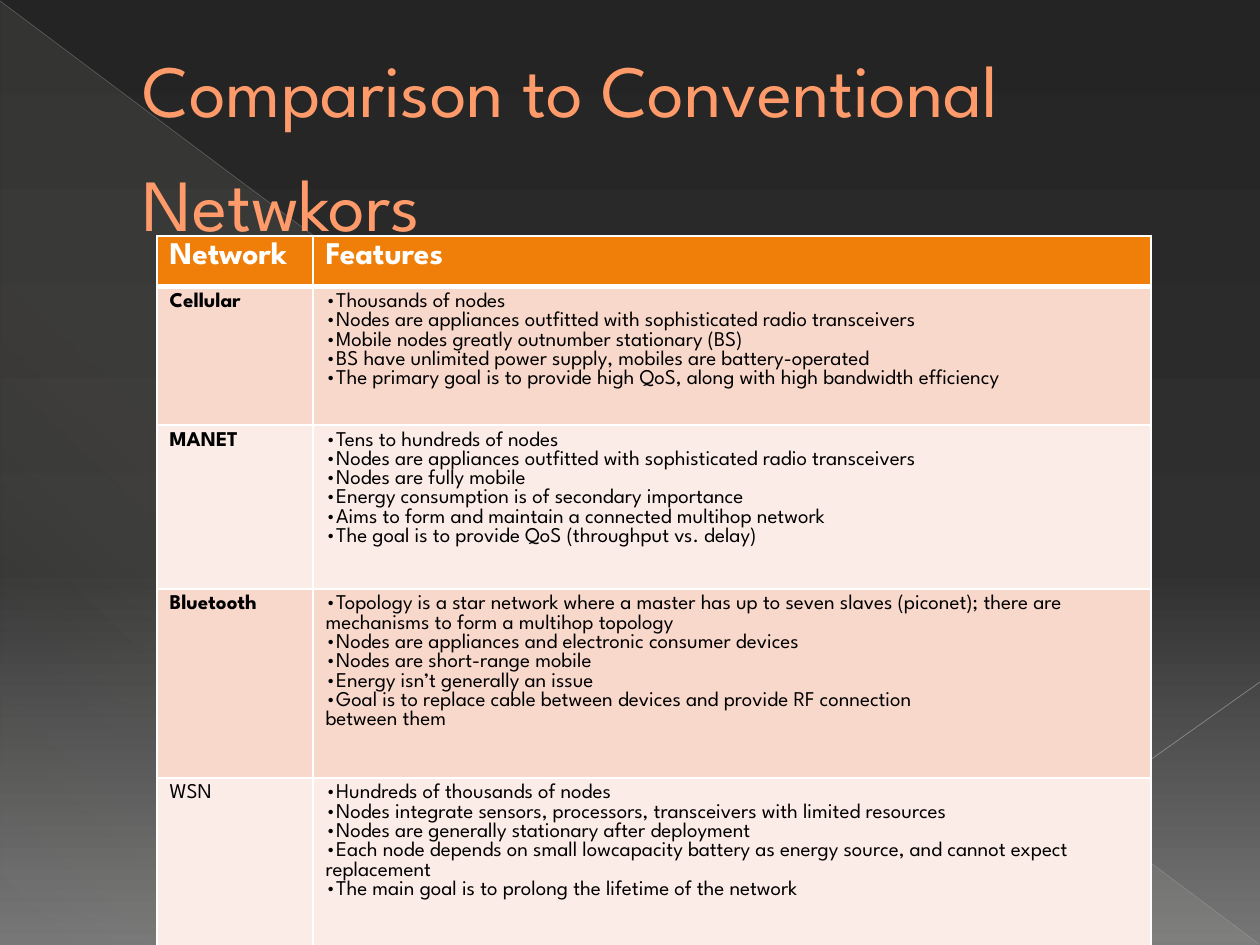
from lxml import etree
from pptx import Presentation
from pptx.dml.color import RGBColor
from pptx.enum.shapes import MSO_CONNECTOR, MSO_SHAPE
from pptx.enum.text import MSO_ANCHOR
from pptx.oxml.ns import qn
from pptx.util import Pt

LINE = MSO_CONNECTOR.STRAIGHT
TRIANGLE = MSO_SHAPE.RIGHT_TRIANGLE
MIDDLE = MSO_ANCHOR.MIDDLE

FONT = "League Spartan"
WHITE = RGBColor(0xFF, 0xFF, 0xFF)
BLACK = RGBColor(0x00, 0x00, 0x00)
CORAL = RGBColor(0xFF, 0x9B, 0x6A)
ORANGE = RGBColor(0xF0, 0x7F, 0x09)
BANDS = [RGBColor(0xF9, 0xD8, 0xCC), RGBColor(0xFC, 0xEC, 0xE7)]
NIGHT = RGBColor(0x24, 0x24, 0x24)
CHARCOAL = RGBColor(0x30, 0x30, 0x30)
GRAY = RGBColor(0x76, 0x76, 0x76)
SAND = RGBColor(0xE3, 0xDE, 0xD1)
SILVER = RGBColor(0xB6, 0xB6, 0xB6)
PALE = RGBColor(0xBF, 0xBF, 0xBF)

COLS = [156, 838]
ROWS = [48, 132, 156, 180, 194]
# Name, whether it is bold, features (a line break continues without a bullet)
NETWORKS = [
    ("Cellular", True, [
        "Thousands of nodes",
        "Nodes are appliances outfitted with sophisticated radio transceivers",
        "Mobile nodes greatly outnumber stationary (BS)",
        "BS have unlimited power supply, mobiles are battery-operated",
        "The primary goal is to provide high QoS, along with high bandwidth efficiency"]),
    ("MANET", True, [
        "Tens to hundreds of nodes",
        "Nodes are appliances outfitted with sophisticated radio transceivers",
        "Nodes are fully mobile",
        "Energy consumption is of secondary importance",
        "Aims to form and maintain a connected multihop network",
        "The goal is to provide QoS (throughput vs. delay)"]),
    ("Bluetooth", True, [
        "Topology is a star network where a master has up to seven slaves (piconet); "
        "there are mechanisms to form a multihop topology",
        "Nodes are appliances and electronic consumer devices",
        "Nodes are short-range mobile",
        "Energy isn’t generally an issue",
        "Goal is to replace cable between devices and provide RF connection\nbetween them"]),
    ("WSN", False, [
        "Hundreds of thousands of nodes",
        "Nodes integrate sensors, processors, transceivers with limited resources",
        "Nodes are generally stationary after deployment",
        "Each node depends on small lowcapacity battery as energy source, "
        "and cannot expect replacement",
        "The main goal is to prolong the lifetime of the network"]),
]


def px(n):
    return round(n * 914400 / 126)


def add_color(parent, color, alpha=100):
    clr = etree.SubElement(parent, qn("a:srgbClr"), val=str(color))
    if alpha < 100:
        etree.SubElement(clr, qn("a:alpha"), val=str(alpha * 1000))


def set_gradient(fill, root, stops, angle):
    """Swap the solid fill under root for a gradient of (position, color, alpha)."""
    fill.solid()
    solid = root.find(".//" + qn("a:solidFill"))
    grad = etree.Element(qn("a:gradFill"), rotWithShape="1")
    gs_list = etree.SubElement(grad, qn("a:gsLst"))
    for pos, color, alpha in stops:
        add_color(etree.SubElement(gs_list, qn("a:gs"), pos=str(pos * 1000)), color, alpha)
    etree.SubElement(grad, qn("a:lin"), ang=str(angle * 60000), scaled="0")
    solid.getparent().replace(solid, grad)


def add_line(s, start, end, color, width, alpha):
    line = s.shapes.add_connector(LINE, *map(px, start + end))
    line.line.width = Pt(width)
    line.line.color.rgb = color
    spPr = line._element.spPr
    clr = spPr.find(".//" + qn("a:srgbClr"))
    etree.SubElement(clr, qn("a:alpha"), val=str(alpha * 1000))
    etree.SubElement(spPr, qn("a:effectLst"))


def write(tf, text, size=12, color=BLACK, bold=False, spacing=None):
    tf.word_wrap = True
    for i, words in enumerate(text.split("\n")):
        p = tf.paragraphs[0] if i == 0 else tf.add_paragraph()
        if spacing:
            p.line_spacing = spacing
        r = p.add_run()
        r.text = words
        r.font.name, r.font.size, r.font.bold = FONT, Pt(size), bold
        r.font.color.rgb = color


def set_borders(cell, **widths):
    tcPr = cell._tc.get_or_add_tcPr()
    for i, side in enumerate("LRTB"):
        ln = etree.Element(qn("a:ln" + side), w=str(Pt(widths.get(side, 1))))
        add_color(etree.SubElement(ln, qn("a:solidFill")), WHITE)
        tcPr.insert(i, ln)


def fill_cell(cell, text, fill, borders, **fmt):
    cell.fill.solid()
    cell.fill.fore_color.rgb = fill
    set_borders(cell, **borders)
    write(cell.text_frame, text, **fmt)


def add_backdrop(s):
    set_gradient(s.background.fill, s._element,
                 [(0, NIGHT, 100), (60, CHARCOAL, 100), (100, GRAY, 100)], 90)
    sp = s.shapes.add_shape(TRIANGLE, px(1), px(2), px(1258), px(942))
    sp.shadow.inherit = False
    sp.line.fill.background()
    set_gradient(sp.fill, sp._element.spPr,
                 [(0, SAND, 10), (70, SAND, 8), (100, SAND, 1)], 133)
    add_line(s, (0, 1), (1259, 944), SILVER, 0.39, 35)
    add_line(s, (1260, 682), (891, 944), PALE, 0.47, 45)


def add_title(s, text):
    tf = s.shapes.add_textbox(px(63), px(36), px(1134), px(193)).text_frame
    tf.margin_left = px(80)
    tf.vertical_anchor = MIDDLE
    write(tf, text, size=42, color=CORAL, spacing=1.29)


def add_network_table(s):
    frame = s.shapes.add_table(len(ROWS), len(COLS), px(157), px(236),
                               px(sum(COLS)), px(sum(ROWS)))
    table = frame.table
    for col, width in zip(table.columns, COLS):
        col.width = px(width)
    for row, height in zip(table.rows, ROWS):
        row.height = px(height)
    # Header
    for i, text in enumerate(["Network", "Features"]):
        fill_cell(table.cell(0, i), text, ORANGE, {"B": 3},
                  size=18, color=WHITE, bold=True)
    # One banded row per network
    for i, (name, bold, features) in enumerate(NETWORKS):
        fill = BANDS[i % 2]
        borders = {"T": 3} if i == 0 else {}
        bullets = "\n".join("•" + feature for feature in features)
        fill_cell(table.cell(i + 1, 0), name, fill, borders, bold=bold)
        fill_cell(table.cell(i + 1, 1), bullets, fill, borders)


def main():
    prs = Presentation()
    prs.slide_width, prs.slide_height = px(1260), px(945)
    s = prs.slides.add_slide(prs.slide_layouts[6])
    add_backdrop(s)
    add_title(s, "Comparison to Conventional Netwkors")
    add_network_table(s)
    prs.save("out.pptx")


if __name__ == "__main__":
    main()
